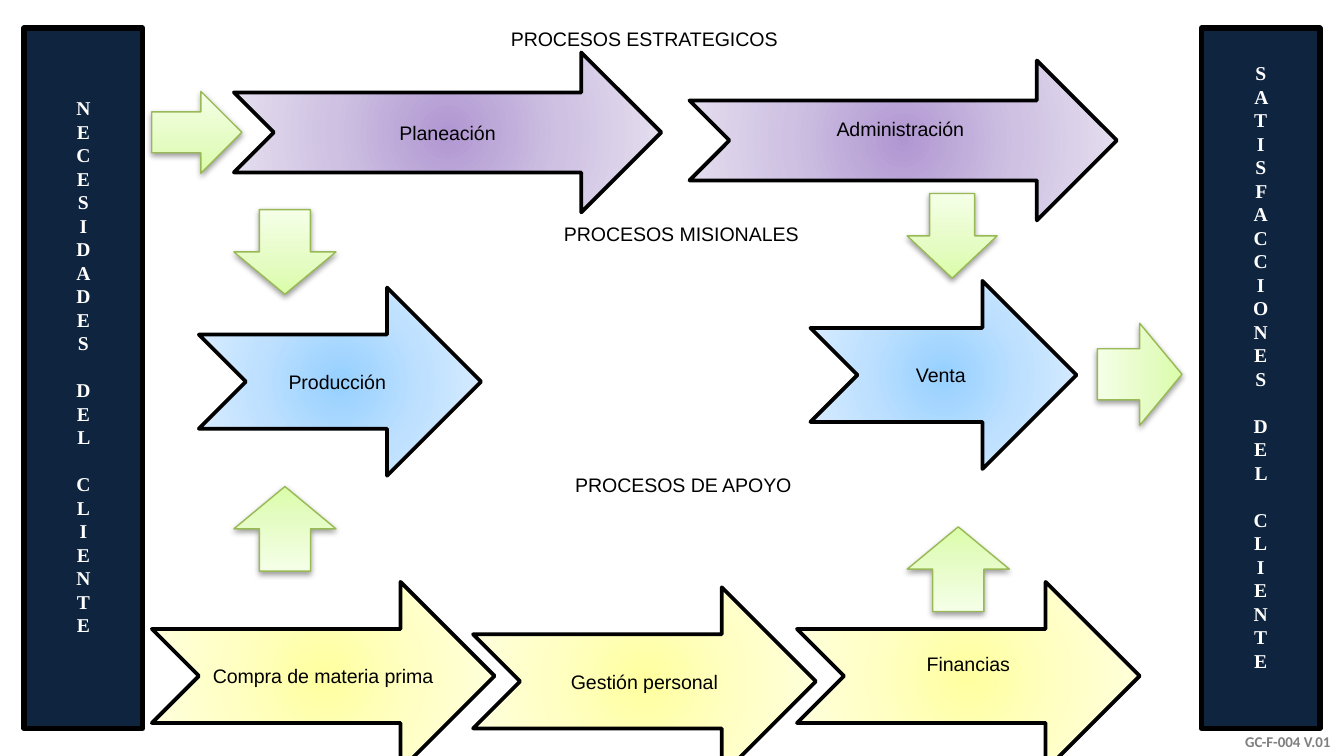
from dataclasses import dataclass

from pptx import Presentation
from pptx.dml.color import RGBColor
from pptx.enum.shapes import MSO_SHAPE as Shape
from pptx.enum.text import MSO_ANCHOR as Anchor, MSO_AUTO_SIZE as AutoSize, PP_ALIGN as Align
from pptx.oxml import parse_xml
from pptx.oxml.ns import nsdecls, qn
from pptx.util import Emu, Pt

PX = 9144
WIDTH = 1000 * PX
HEIGHT = WIDTH * 9 // 16
BLACK, WHITE, GREY, NAVY, OLIVE = "000000", "FFFFFF", "7F7F7F", "0F243E", "98B955"
PURPLE = ((0, "B197D2"), (50, "CEC1E2"), (100, "E7E1F0"))
BLUE = ((0, "96D0FF"), (50, "BFE1FF"), (100, "E0EFFF"))
YELLOW = ((0, "FFFFA0"), (50, "FFFFC5"), (100, "FFFFE3"))
GREEN = ((0, "DAFDA7"), (35, "E4FCC2"), (100, "F5FFE7"))
RADIAL = '<a:path path="circle"><a:fillToRect l="50000" t="50000" r="50000" b="50000"/></a:path>'
UPWARD = '<a:lin ang="16200000" scaled="1"/>'
LABEL = {"name": "Arial", "size": Pt(10.5), "bold": False}
BAR_FONT = {"name": "Times New Roman", "size": Pt(10.5), "bold": True}
CODE_FONT = {"name": "Calibri", "size": Pt(8), "bold": True}


@dataclass
class Box:
    x: int
    y: int
    w: int
    h: int

    def emu(self) -> list:
        """Return left, top, width and height in EMU."""
        return [Emu(v * PX) for v in (self.x, self.y, self.w, self.h)]


@dataclass
class Process:
    text: str
    box: Box
    stops: tuple
    lift: int = 0


@dataclass
class Flow:
    box: Box
    kind: Shape = Shape.DOWN_ARROW
    rotation: int = 0


BARS = [("NECESIDADES DEL CLIENTE ", Box(18, 21, 88, 521)),
        ("SATISFACCIONES DEL CLIENTE ", Box(894, 21, 88, 521))]
HEADINGS = [("PROCESOS ESTRATEGICOS ", Box(253, 15, 457, 28)),
            ("PROCESOS MISIONALES ", Box(298, 160, 422, 28)),
            ("PROCESOS DE APOYO ", Box(286, 347, 449, 28))]
PROCESSES = [
    Process("Administración ", Box(513, 45, 318, 119), PURPLE, lift=17),
    Process("Planeación", Box(174, 39, 318, 119), PURPLE),
    Process("Venta ", Box(603, 209, 198, 140), BLUE),
    Process("Producción ", Box(148, 214, 210, 140), BLUE),
    Process("Gestión personal", Box(352, 437, 255, 140), YELLOW),
    Process("Compra de materia prima", Box(113, 433, 255, 140), YELLOW),
    Process("Financias", Box(593, 433, 255, 140), YELLOW, lift=18),
]
FLOWS = [
    Flow(Box(113, 68, 67, 61), Shape.RIGHT_ARROW),
    Flow(Box(174, 156, 76, 63)),
    Flow(Box(675, 144, 67, 63)),
    Flow(Box(174, 362, 76, 63), rotation=180),
    Flow(Box(675, 392, 76, 63), rotation=180),
    Flow(Box(810, 247, 76, 63), rotation=270),
]


def color(value: str) -> RGBColor:
    """Turn a hex string into a colour."""
    return RGBColor.from_string(value)


def write(s, text: str, font: dict, ink: str, align=Align.CENTER, **frame):
    """Write one formatted paragraph and set the text frame's attributes."""
    tf = s.text_frame
    for name, value in {"word_wrap": True, **frame}.items():
        setattr(tf, name, value)
    p = tf.paragraphs[0]
    p.alignment = align
    r = p.add_run()
    r.text = text
    for name, value in font.items():
        setattr(r.font, name, value)
    r.font.color.rgb = color(ink)


def add_shape(slide, kind: Shape, box: Box, fill: str, line: str, width: float):
    """Add a flat preset shape with a solid fill and an outline."""
    s = slide.shapes.add_shape(kind, *box.emu())
    s.shadow.inherit = False
    s.fill.solid()
    s.fill.fore_color.rgb = color(fill)
    s.line.color.rgb = color(line)
    s.line.width = Pt(width)
    return s


def set_gradient(s, stops: tuple, direction: str):
    """Replace the solid fill of a shape by a gradient."""
    marks = "".join(f'<a:gs pos="{pos * 1000}"><a:srgbClr val="{c}"/></a:gs>' for pos, c in stops)
    grad = parse_xml(f'<a:gradFill {nsdecls("a")} rotWithShape="1">'
                     f'<a:gsLst>{marks}</a:gsLst>{direction}</a:gradFill>')
    props = s._element.spPr
    props.replace(props.find(qn("a:solidFill")), grad)


def set_shadow(s):
    """Give a shape a soft shadow below it."""
    s._element.spPr.find(qn("a:effectLst")).append(parse_xml(
        f'<a:outerShdw {nsdecls("a")} blurRad="40000" dist="20000" dir="5400000" rotWithShape="0">'
        f'<a:srgbClr val="{BLACK}"><a:alpha val="38000"/></a:srgbClr></a:outerShdw>'))


def add_bar(slide, text: str, box: Box):
    """Add a side bar with stacked letters."""
    s = add_shape(slide, Shape.RECTANGLE, box, NAVY, BLACK, 3)
    write(s, text, BAR_FONT, WHITE, vertical_anchor=Anchor.MIDDLE)
    s.text_frame._txBody.bodyPr.set("vert", "wordArtVert")


def add_process(slide, item: Process):
    """Add a labelled process arrow."""
    s = add_shape(slide, Shape.NOTCHED_RIGHT_ARROW, item.box, WHITE, BLACK, 2)
    set_gradient(s, item.stops, RADIAL)
    write(s, item.text, LABEL, BLACK, vertical_anchor=Anchor.MIDDLE,
          margin_bottom=Emu((5 + item.lift) * PX))


def add_flow(slide, item: Flow):
    """Add a green flow arrow."""
    s = add_shape(slide, item.kind, item.box, WHITE, OLIVE, 0.75)
    set_gradient(s, GREEN, UPWARD)
    set_shadow(s)
    s.rotation = item.rotation


def main():
    """Build the process map."""
    prs = Presentation()
    prs.slide_width, prs.slide_height = Emu(WIDTH), Emu(HEIGHT)
    slide = prs.slides.add_slide(prs.slide_layouts[6])
    code = slide.shapes.add_textbox(*Box(837, 520, 163, 43).emu())
    write(code, "GC-F-004 V.01", CODE_FONT, GREY, Align.RIGHT, vertical_anchor=Anchor.BOTTOM)
    for text, box in BARS:
        add_bar(slide, text, box)
    for text, box in HEADINGS:
        s = slide.shapes.add_textbox(*box.emu())
        write(s, text, LABEL, BLACK, auto_size=AutoSize.SHAPE_TO_FIT_TEXT)
    for item in PROCESSES:
        add_process(slide, item)
    for item in FLOWS:
        add_flow(slide, item)
    prs.save("out.pptx")


if __name__ == "__main__":
    main()
